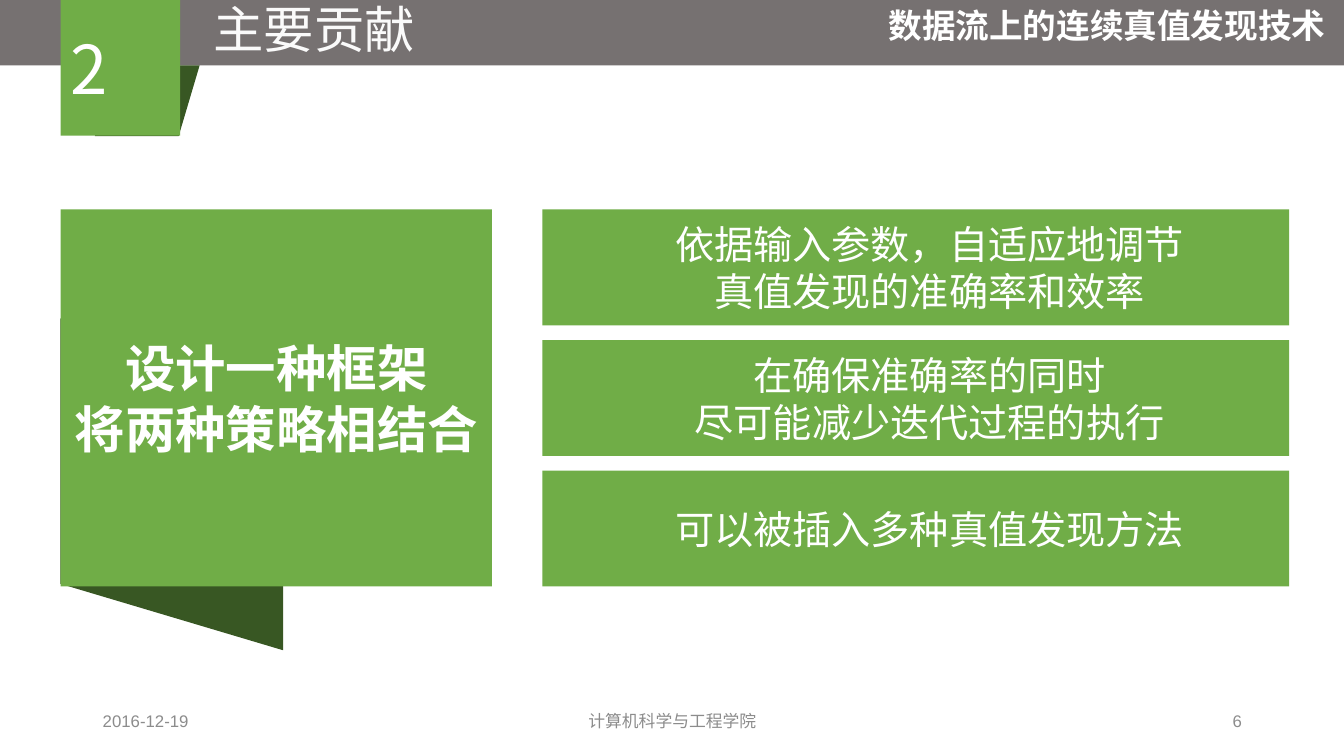
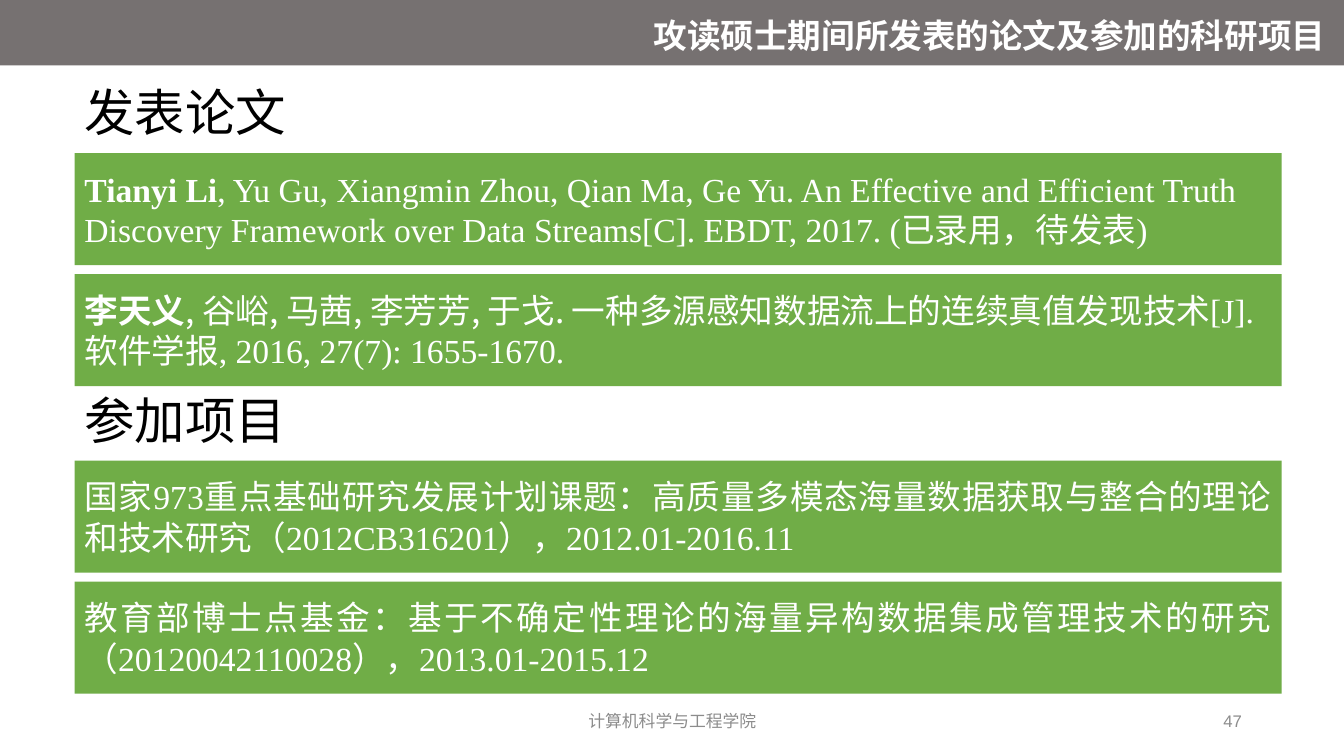
from dataclasses import dataclass

from lxml import etree
from pptx import Presentation
from pptx import util as u
from pptx.dml.color import RGBColor
from pptx.enum import shapes, text
from pptx.oxml.ns import qn


@dataclass(frozen=True)
class Theme:
    band: str = "767171"
    green: str = "70AD47"
    fold: str = "385723"
    white: str = "FFFFFF"
    title: str = "FAFAFA"
    ink: str = "000000"
    muted: str = "8C8C8C"
    cjk: str = "Noto Sans CJK SC"
    serif: str = "Times New Roman"
    sans: str = "Arial"
    number_size: int = 48
    heading_size: int = 36
    card_size: int = 28
    body_size: int = 24
    footer_size: int = 12
    leading: float = 1.2


THEME = Theme()
LEFT, CENTER, RIGHT, JUSTIFY = (
    text.PP_ALIGN.LEFT, text.PP_ALIGN.CENTER, text.PP_ALIGN.RIGHT, text.PP_ALIGN.JUSTIFY)
TITLE_ONLY = 5
HEADER_LEFT, HEADER_WIDTH = 15.35, 18.3


def style_run(run, size, color, font, bold=False):
    run.font.size = u.Pt(size)
    run.font.bold = bold
    run.font.name = font
    run.font.color.rgb = RGBColor.from_string(color)
    east_asian = etree.Element(qn("a:ea"), typeface=THEME.cjk)
    run.font._element.find(qn("a:latin")).addnext(east_asian)


def write(shape, lines, size=THEME.body_size, color=THEME.white, align=LEFT, inset=0.25,
          font=THEME.cjk, bold=False):
    frame = shape.text_frame
    frame.word_wrap = True
    frame.auto_size = text.MSO_AUTO_SIZE.NONE
    frame.vertical_anchor = text.MSO_ANCHOR.MIDDLE
    frame.margin_left = u.Cm(inset)
    frame.margin_right = u.Cm(0.25)
    frame.margin_top = frame.margin_bottom = u.Cm(0.13)
    for index, line in enumerate(lines):
        paragraph = frame.add_paragraph() if index else frame.paragraphs[0]
        paragraph.alignment = align
        paragraph.line_spacing = u.Pt(size * THEME.leading)
        for content, changes in ([(line, {})] if isinstance(line, str) else line):
            run = paragraph.add_run()
            run.text = content
            style_run(run, **{"size": size, "color": color, "font": font, "bold": bold, **changes})


def place(shape, left, top, width, height):
    shape.left, shape.top = u.Cm(left), u.Cm(top)
    shape.width, shape.height = u.Cm(width), u.Cm(height)


def add_block(slide, box, color, kind=shapes.MSO_SHAPE.RECTANGLE, rotation=0):
    shape = slide.shapes.add_shape(kind, *map(u.Cm, box))
    shape.shadow.inherit = False
    shape.fill.solid()
    shape.fill.fore_color.rgb = RGBColor.from_string(color)
    shape.line.fill.background()
    shape.rotation = rotation
    return shape


def add_fold(slide, box, rotation):
    add_block(slide, box, THEME.fold, shapes.MSO_SHAPE.FLOWCHART_DATA, rotation)


def add_card(slide, box, lines, **style):
    write(add_block(slide, box, THEME.green), lines, **style)


def add_label(slide, box, content, **style):
    write(slide.shapes.add_textbox(*map(u.Cm, box)), [content], **style)


def add_footer(slide, number, date=None):
    footer_items = [(2.34, 7.62, date, LEFT),
                    (11.23, 11.43, "计算机科学与工程学院", CENTER),
                    (23.93, 7.62, number, RIGHT)]
    for left, width, content, align in footer_items:
        if content:
            add_label(slide, (left, 17.65, width, 1.02), content, size=THEME.footer_size,
                      color=THEME.muted, font=THEME.sans, align=align)


def start_slide(presentation, title, box, **style):
    slide = presentation.slides.add_slide(presentation.slide_layouts[TITLE_ONLY])
    band = add_block(slide, (0, 0, 33.87, 1.65), THEME.band)
    placeholder = slide.shapes.title
    placeholder.element.addprevious(band.element)
    place(placeholder, *box)
    write(placeholder, [title], **style)
    return slide


def build_contributions(presentation):
    slide = start_slide(presentation, "主要贡献", (1.85, -0.18, 12.14, 1.8),
                        size=THEME.heading_size, color=THEME.title, align=CENTER)
    add_label(slide, (HEADER_LEFT, 0, HEADER_WIDTH, 1.27), "数据流上的连续真值发现技术",
              bold=True, align=RIGHT)
    add_fold(slide, (2.39, 1.65, 2.64, 1.78), 180)
    add_card(slide, (1.53, -0.03, 3.01, 3.45), ["2"], size=THEME.number_size)

    card_top, card_height, card_pitch = 5.28, 2.92, 3.29
    add_fold(slide, (0.15, 9.4, 8.36, 5.61), 270)
    add_card(slide, (1.53, card_top, 10.87, 2 * card_pitch + card_height),
             ["设计一种框架", "将两种策略相结合"],
             size=THEME.heading_size, bold=True, align=CENTER)
    contributions = [["依据输入参数，自适应地调节", "真值发现的准确率和效率"],
                     ["在确保准确率的同时", "尽可能减少迭代过程的执行"],
                     ["可以被插入多种真值发现方法"]]
    for index, lines in enumerate(contributions):
        add_card(slide, (13.67, card_top + index * card_pitch, 18.82, card_height), lines,
                 size=THEME.card_size, align=CENTER, inset=0.94)
    add_footer(slide, "6", "2016-12-19")


def add_section(slide, heading, top, entries, align=LEFT):
    left, width, heading_height, entry_height, entry_pitch = 1.88, 30.42, 1.8, 2.82, 3.05
    add_label(slide, (left, top - heading_height - 0.15, width, heading_height), heading,
              size=THEME.heading_size, color=THEME.ink)
    for index, entry in enumerate(entries):
        add_card(slide, (left, top + index * entry_pitch, width, entry_height), [entry],
                 font=THEME.serif, align=align)


def build_publications(presentation):
    slide = start_slide(presentation, "攻读硕士期间所发表的论文及参加的科研项目",
                        (HEADER_LEFT, 0, HEADER_WIDTH, 1.75), bold=True, align=RIGHT)
    papers = [
        [("Tianyi Li", {"bold": True}),
         (", Yu Gu, Xiangmin Zhou, Qian Ma, Ge Yu. An Effective and Efficient Truth "
          "Discovery Framework over Data Streams[C]. EBDT, 2017. (已录用，待发表)", {})],
        [("李天义", {"bold": True, "font": THEME.cjk}),
         (", 谷峪, 马茜, 李芳芳, 于戈. 一种多源感知数据流上的连续真值发现", {"font": THEME.cjk}),
         ("技术[J]. 软件学报, 2016, 27(7): 1655-1670.", {})],
    ]
    projects = [
        "国家973重点基础研究发展计划课题：高质量多模态海量数据获取与整合的理论和技术研究"
        "（2012CB316201），2012.01-2016.11",
        "教育部博士点基金：基于不确定性理论的海量异构数据集成管理技术的研究"
        "（20120042110028），2013.01-2015.12",
    ]
    add_section(slide, "发表论文", 3.86, papers)
    add_section(slide, "参加项目", 11.61, projects, align=JUSTIFY)
    add_footer(slide, "47")


def main():
    presentation = Presentation()
    presentation.slide_width, presentation.slide_height = u.Cm(33.87), u.Cm(19.05)
    build_contributions(presentation)
    build_publications(presentation)
    presentation.save("out.pptx")


if __name__ == "__main__":
    main()
